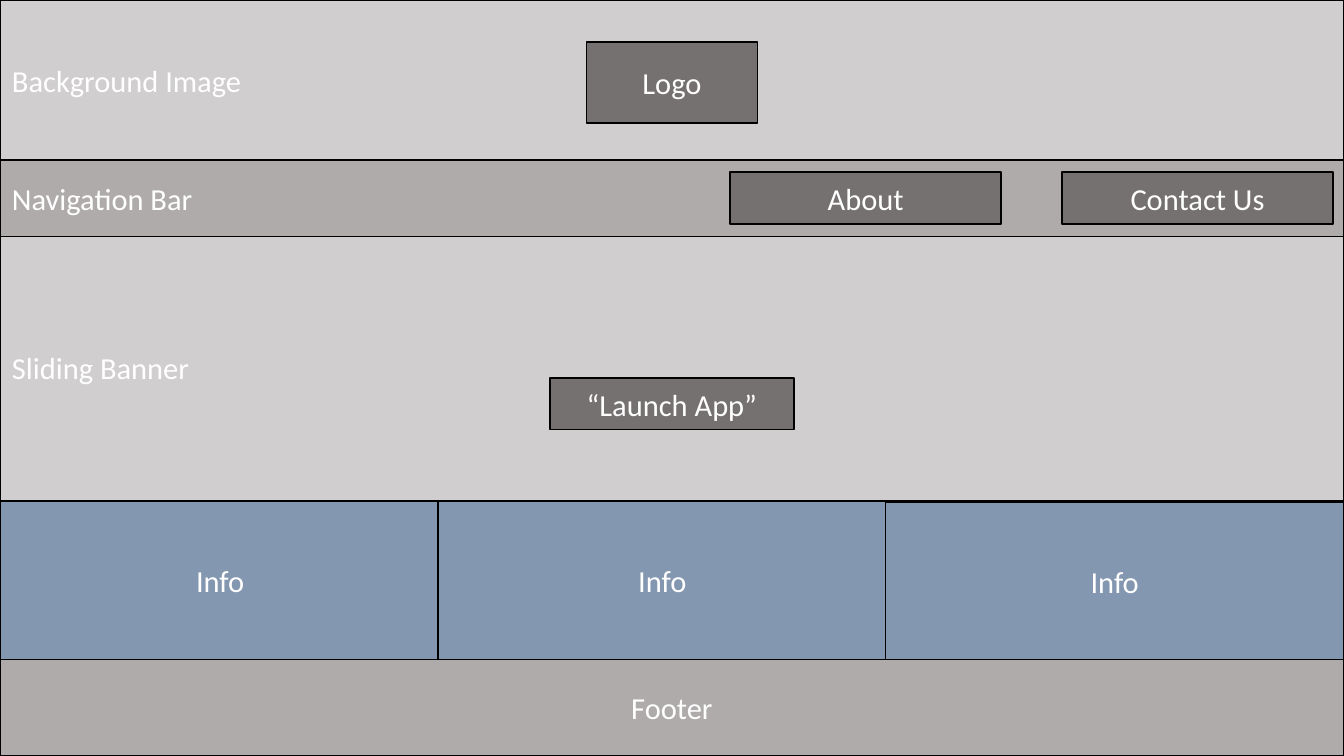
from pptx import Presentation
from pptx.dml.color import RGBColor
from pptx.enum.shapes import MSO_SHAPE
from pptx.enum.text import MSO_ANCHOR, PP_ALIGN
from pptx.util import Cm, Pt

COLORS = {
    "band": "D0CECE",
    "bar": "AFABAB",
    "button": "767171",
    "info": "8497B0",
    "line": "000000",
    "text": "FFFFFF",
}
WIDTH, HEIGHT = Cm(27.99), Cm(15.75)


def color(name):
    return RGBColor.from_string(COLORS[name])


def add_block(s, box, text, fill, align=PP_ALIGN.CENTER):
    """Draw an outlined, labelled rectangle; box is left, top, width, height."""
    sp = s.shapes.add_shape(MSO_SHAPE.RECTANGLE, *box)
    sp.shadow.inherit = False
    sp.fill.solid()
    sp.fill.fore_color.rgb = color(fill)
    sp.line.color.rgb = color("line")
    sp.line.width = Pt(1)
    tf = sp.text_frame
    tf.word_wrap = True
    tf.vertical_anchor = MSO_ANCHOR.MIDDLE
    p = tf.paragraphs[0]
    p.text = text
    p.alignment = align
    p.font.name = "Calibri"
    p.font.size = Pt(18)
    p.font.color.rgb = color("text")


def add_centered_button(s, box, offset, width, height, text):
    """Centre a button across the box, at an offset below its top."""
    left, top, box_width, _ = box
    add_block(s, (left + (box_width - width) // 2, top + offset, width, height),
              text, "button")


def add_header(s, box):
    add_block(s, box, "Background Image", "band", PP_ALIGN.LEFT)
    add_centered_button(s, box, Cm(0.88), Cm(3.56), Cm(1.68), "Logo")


def add_navigation(s, box):
    add_block(s, box, "Navigation Bar", "bar", PP_ALIGN.LEFT)
    left, top, width, height = box
    button_width, button_height, gap = Cm(5.64), Cm(1.09), Cm(1.27)
    x = left + width - Cm(0.23) - button_width
    y = top + (height - button_height) // 2
    for text in ("Contact Us", "About"):
        add_block(s, (x, y, button_width, button_height), text, "button")
        x -= button_width + gap


def add_banner(s, box):
    add_block(s, box, "Sliding Banner", "band", PP_ALIGN.LEFT)
    add_centered_button(s, box, Cm(3), Cm(5.08), Cm(1.07), "“Launch App”")


def add_info_row(s, box):
    left, top, _, height = box
    panels = ((0, 0, 9.17), (9.12, 0, 9.35), (18.44, 0.03, 9.55))
    for x, y, width in panels:
        add_block(s, (left + Cm(x), top + Cm(y), Cm(width), height), "Info", "info")


def add_footer(s, box):
    add_block(s, box, "Footer", "bar")


def main():
    prs = Presentation()
    prs.slide_width, prs.slide_height = WIDTH, HEIGHT
    s = prs.slides.add_slide(prs.slide_layouts[6])
    regions = (
        (add_banner, 4.88, 5.56),
        (add_navigation, 3.33, 1.6),
        (add_header, 0, 3.33),
        (add_info_row, 10.44, 3.3),
        (add_footer, 13.74, 2.01),
    )
    for add_region, top, height in regions:
        add_region(s, (0, Cm(top), WIDTH, Cm(height)))
    prs.save("out.pptx")


if __name__ == "__main__":
    main()
